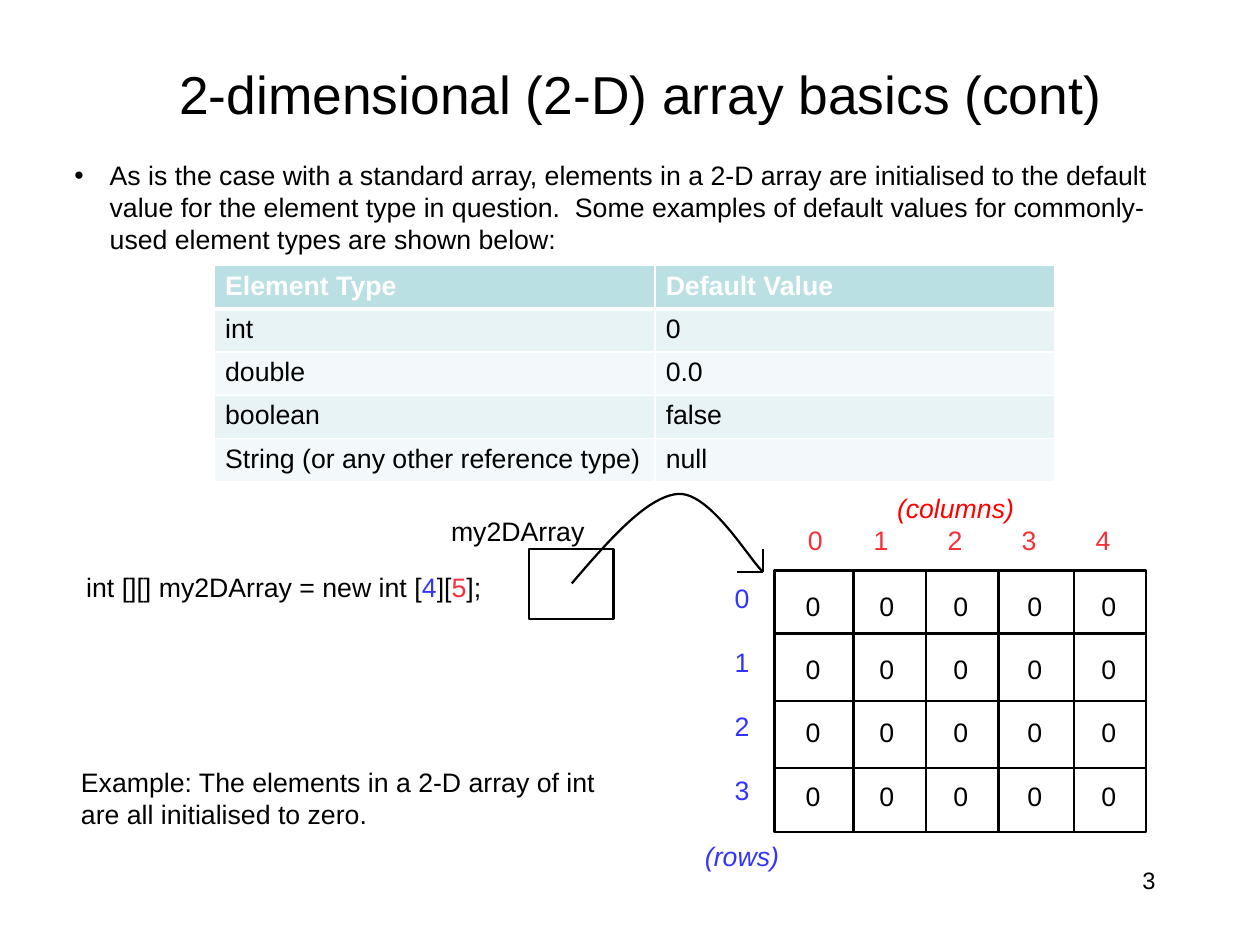
from itertools import product
from lxml.etree import SubElement
from pptx import Presentation
from pptx.dml.color import RGBColor
from pptx.enum.shapes import MSO_CONNECTOR as Connector, MSO_SHAPE as Preset
from pptx.enum.text import MSO_ANCHOR as Anchor, PP_ALIGN as Align
from pptx.oxml import parse_xml
from pptx.oxml.ns import nsdecls, qn
from pptx.util import Inches, Pt

BLACK, WHITE, BLUE, RED, BRIGHT_RED = "000000", "FFFFFF", "3333FF", "F43038", "FF0000"
HEADER_FILL, BAND_FILLS = "BBE0E3", ("F3F9FA", "E7F3F4")


def color(value):
    return RGBColor.from_string(value)


def write_text(frame, text, size=18, ink=BLACK, bold=False, italic=False,
               align=Align.LEFT, font="Arial"):
    paragraph = frame.paragraphs[0]
    paragraph.alignment = align
    runs = [(text, ink)] if isinstance(text, str) else text
    for words, run_ink in runs:
        run = paragraph.add_run()
        run.text = words
        run.font.name, run.font.size = font, Pt(size)
        run.font.bold, run.font.italic = bold, italic
        run.font.color.rgb = color(run_ink)
    return paragraph


def bezier(start, control1, control2, end, steps=24):
    for step in range(1, steps + 1):
        t = step / steps
        weights = ((1 - t) ** 3, 3 * t * (1 - t) ** 2, 3 * t * t * (1 - t), t ** 3)
        yield tuple(sum(weight * value for weight, value in zip(weights, values))
                    for values in zip(start, control1, control2, end))


class SlideBuilder:
    line_width = Pt(1.5)

    def __init__(self, presentation):
        self.column = presentation.slide_width / 100
        self.row = presentation.slide_height / 100
        self.slide = presentation.slides.add_slide(presentation.slide_layouts[6])
        self.shapes = self.slide.shapes

    def place(self, x, y):
        return round(x * self.column), round(y * self.row)

    def text(self, text, x, y, width, height=4.5, anchor=Anchor.TOP, **style):
        box = self.shapes.add_textbox(*self.place(x, y), *self.place(width, height))
        frame = box.text_frame
        frame.word_wrap, frame.vertical_anchor = True, anchor
        return write_text(frame, text, **style)

    def bullet(self, text, x, y, width, height):
        paragraph = self.text(text, x, y, width, height)
        properties = paragraph._p.get_or_add_pPr()
        indent = Inches(0.33)
        properties.set("marL", str(indent))
        properties.set("indent", str(-indent))
        SubElement(properties, qn("a:buFont")).set("typeface", "Arial")
        SubElement(properties, qn("a:buChar")).set("char", "•")

    def outline(self, shape):
        shape.shadow.inherit = False
        shape.fill.background()
        shape.line.color.rgb = color(BLACK)
        shape.line.width = self.line_width

    def rectangle(self, x, y, width, height):
        self.outline(self.shapes.add_shape(
            Preset.RECTANGLE, *self.place(x, y), *self.place(width, height)))

    def line(self, start, end):
        connector = self.shapes.add_connector(
            Connector.STRAIGHT, *self.place(*start), *self.place(*end))
        connector.line.color.rgb = color(BLACK)
        connector.line.width = self.line_width
        SubElement(connector._element.spPr, qn("a:effectLst"))

    def curve(self, start, *segments):
        points = []
        current = start
        for segment in segments:
            points += [self.place(*point) for point in bezier(current, *segment)]
            current = segment[-1]
        builder = self.shapes.build_freeform(*self.place(*start))
        builder.add_line_segments(points, close=False)
        self.outline(builder.convert_to_shape())

    def table(self, rows, x, y, widths, row_height):
        size = self.place(sum(widths), row_height * len(rows))
        table = self.shapes.add_table(
            len(rows), len(widths), *self.place(x, y), *size).table
        for column, width in zip(table.columns, widths):
            column.width = round(width * self.column)
        for row in table.rows:
            row.height = round(row_height * self.row)
        for r, c in product(range(len(rows)), range(len(widths))):
            cell, header = table.cell(r, c), r == 0
            cell.fill.solid()
            cell.fill.fore_color.rgb = color(HEADER_FILL if header else BAND_FILLS[r % 2])
            write_text(cell.text_frame, rows[r][c], bold=header,
                       ink=WHITE if header else BLACK)
            self.borders(cell, top=3 if r == 1 else 1, bottom=3 if header else 1)

    def borders(self, cell, top, bottom):
        sides = {"lnL": 1, "lnR": 1, "lnT": top, "lnB": bottom}
        for position, (side, width) in enumerate(sides.items()):
            cell._tc.get_or_add_tcPr().insert(position, parse_xml(
                f'<a:{side} {nsdecls("a")} w="{Pt(width)}"><a:solidFill>'
                f'<a:srgbClr val="{WHITE}"/></a:solidFill></a:{side}>'))

    def centered(self, text, center, y, **style):
        width = 5
        self.text(text, center - width / 2, y, width, align=Align.CENTER, **style)


presentation = Presentation()
presentation.slide_width, presentation.slide_height = Inches(11.81), Inches(8.86)
builder = SlideBuilder(presentation)

builder.text("2-dimensional (2-D) array basics (cont)", 6.69, 4.85, 88.23, 10.05,
             anchor=Anchor.MIDDLE, size=36, align=Align.CENTER)
builder.text("3", 71.72, 91.08, 20.83, 6.66, size=16, align=Align.RIGHT)
builder.bullet(
    "As is the case with a standard array, elements in a 2-D array are initialised "
    "to the default value for the element type in question.  Some examples of default "
    "values for commonly-used element types are shown below:", 5.08, 16.25, 90.6, 11.51)
builder.table([("Element Type", "Default Value"), ("int", "0"), ("double", "0.0"),
               ("boolean", "false"), ("String (or any other reference type)", "null")],
              17.02, 28.1, (34.97, 31.67), 4.58)

left, *column_lines, right = 61.47, 67.74, 73.5, 79.25, 85.27, 90.94
top, *row_lines, bottom = 60.38, 67.04, 74.15, 81.26, 88.04
builder.rectangle(left, top, right - left, bottom - top)
for x in column_lines:
    builder.line((x, top), (x, bottom))
for y in row_lines:
    builder.line((left, y), (right, y))

column_count, row_count = len(column_lines) + 1, len(row_lines) + 1
for index, center in enumerate((64.7, 69.93, 75.8, 81.67, 87.54)):
    builder.centered(str(index), center, 54.85, ink=RED)
for index in range(row_count):
    builder.centered(str(index), 58.89, 61.06 + 6.77 * index, ink=BLUE)
for r, c in product(range(row_count), range(column_count)):
    builder.centered("0", 64.52 + 5.87 * c, 61.85 + 6.69 * r)
builder.text("(columns)", 70.36, 51.47, 12, ink=BRIGHT_RED, italic=True)
builder.text("(rows)", 55.12, 88.37, 9, ink=BLUE, italic=True)

builder.text([("int [][] my2DArray = new int [", BLACK), ("4", BLUE), ("][", BLACK),
              ("5", RED), ("];", BLACK)], 6.01, 59.82, 36)
builder.text("my2DArray", 34.97, 53.95, 14)
builder.rectangle(42, 58.13, 6.69, 7.34)

arrow_tip = (60.54, 60.5)
builder.curve((45.38, 61.74),
              ((48.35, 57.11), (51.4, 52.48), (53.85, 52.26)),
              ((56.39, 52.14), (59.44, 59.14), arrow_tip))
for barb in ((58.51, 60.5), (60.54, 58.13)):
    builder.line(arrow_tip, barb)

builder.text("Example: The elements in a 2-D array of int are all initialised to zero.",
             5.59, 80.47, 43, 8)
presentation.save("out.pptx")
